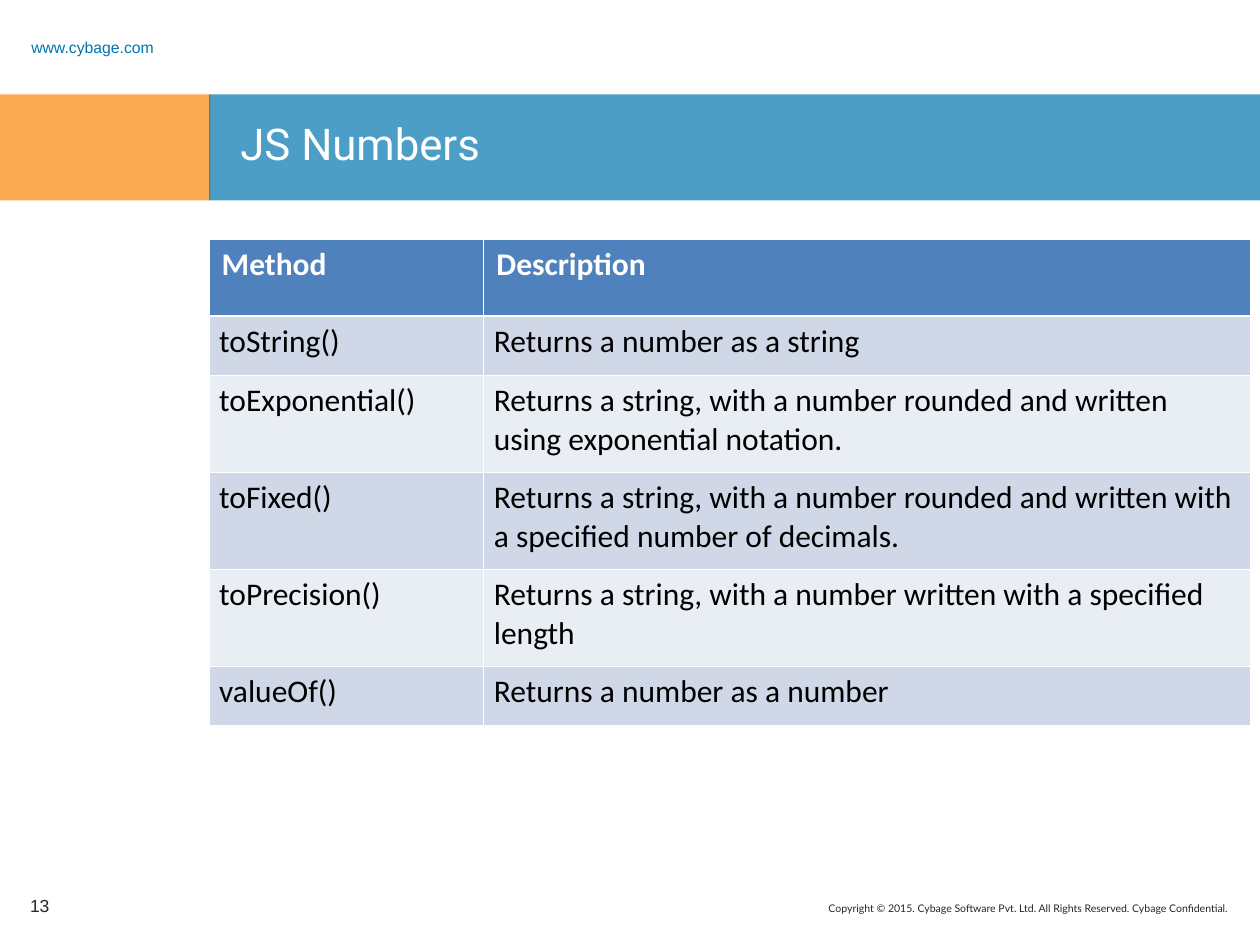
from lxml import etree
from pptx import Presentation
from pptx.dml.color import RGBColor
from pptx.enum import shapes, text
from pptx.oxml.ns import qn
from pptx.util import Inches, Pt

ORANGE = RGBColor(0xF8, 0x86, 0x08)
BLUE = RGBColor(0x00, 0x75, 0xB0)
HEADER_BLUE = RGBColor(0x4F, 0x81, 0xBD)
BAND_DARK = RGBColor(0xD0, 0xD8, 0xE8)
BAND_LIGHT = RGBColor(0xE9, 0xED, 0xF4)
WHITE = RGBColor(0xFF, 0xFF, 0xFF)
BLACK = RGBColor(0x00, 0x00, 0x00)
DARK_GREY = RGBColor(0x26, 0x26, 0x26)

LEFT, RIGHT = text.PP_ALIGN.LEFT, text.PP_ALIGN.RIGHT
TOP, MIDDLE = text.MSO_ANCHOR.TOP, text.MSO_ANCHOR.MIDDLE

# Content: left, top, width, height and fill of the title bands
BANDS = [
    (0, 0.75, 1.67, 0.84, ORANGE),
    (1.66, 0.75, 8.34, 0.84, BLUE),
]
# Text, box, font, size, colour, alignment, anchor, line spacing
LABELS = [
    ("Copyright © 2015. Cybage Software Pvt. Ltd. All Rights Reserved. Cybage Confidential.",
     (4.08, 7.11, 5.76, 0.26), "Lato", 6, DARK_GREY, RIGHT, TOP, 1),
    ("www.cybage.com", (0.15, 0.24, 1.5, 0.19), "Arial", 9, BLUE, LEFT, MIDDLE, 1.5),
    ("JS Numbers", (1.81, 0.88, 7.94, 0.62), "Roboto", 25, WHITE, LEFT, TOP, 1),
    ("13", (0.14, 6.99, 0.54, 0.4), "Arial", 10, DARK_GREY, LEFT, MIDDLE, 1),
]
METHODS = [
    ("Method", "Description"),
    ("toString()", "Returns a number as a string"),
    ("toExponential()", "Returns a string, with a number rounded and written using exponential notation."),
    ("toFixed()", "Returns a string, with a number rounded and written with a specified number of decimals."),
    ("toPrecision()", "Returns a string, with a number written with a specified length"),
    ("valueOf()", "Returns a number as a number"),
]
COLUMN_WIDTHS = [2.18, 6.08]
ROW_HEIGHTS = [0.61, 0.47, 0.77, 0.77, 0.77, 0.47]


def add_band(slide, left, top, width, height, color):
    shape = slide.shapes.add_shape(shapes.MSO_SHAPE.RECTANGLE, *map(Inches, (left, top, width, height)))
    shape.shadow.inherit = False
    shape.fill.solid()
    shape.fill.fore_color.rgb = color
    shape.line.fill.background()
    color_element = shape._element.spPr.find(qn("a:solidFill"))[0]
    etree.SubElement(color_element, qn("a:alpha"), val="70000")


def style_paragraph(paragraph, font_name, size, color, bold=False):
    font = paragraph.font
    font.name, font.size, font.bold = font_name, Pt(size), bold
    font.color.rgb = color


def add_label(slide, words, box, font_name, size, color, alignment, anchor, spacing):
    frame = slide.shapes.add_textbox(*map(Inches, box)).text_frame
    frame.word_wrap = True
    frame.vertical_anchor = anchor
    paragraph = frame.paragraphs[0]
    paragraph.text = words
    paragraph.alignment = alignment
    paragraph.line_spacing = spacing
    style_paragraph(paragraph, font_name, size, color)


def add_border(cell, side, width):
    line = etree.SubElement(cell._tc.get_or_add_tcPr(), qn(f"a:ln{side}"), w=str(Pt(width)))
    fill = etree.SubElement(line, qn("a:solidFill"))
    etree.SubElement(fill, qn("a:srgbClr"), val=str(WHITE))


def fill_cell(cell, words, row):
    header = row == 0
    cell.text = words
    cell.margin_left = cell.margin_right = Inches(0.1 if header else 0.08)
    cell.margin_top = cell.margin_bottom = Inches(0.05)
    # The line under the header is thicker than the others
    add_border(cell, "L", 0.45)
    add_border(cell, "R", 0.45)
    add_border(cell, "T", 1.47 if row == 1 else 0.45)
    add_border(cell, "B", 1.47 if header else 0.45)
    cell.fill.solid()
    cell.fill.fore_color.rgb = HEADER_BLUE if header else BAND_DARK if row % 2 else BAND_LIGHT
    style_paragraph(cell.text_frame.paragraphs[0], "Calibri", 18, WHITE if header else BLACK, header)


def add_method_table(slide):
    table = slide.shapes.add_table(
        len(METHODS), len(COLUMN_WIDTHS), Inches(1.66), Inches(1.9),
        Inches(sum(COLUMN_WIDTHS)), Inches(sum(ROW_HEIGHTS))).table
    for column, width in zip(table.columns, COLUMN_WIDTHS):
        column.width = Inches(width)
    for row, height in zip(table.rows, ROW_HEIGHTS):
        row.height = Inches(height)
    for row, entries in enumerate(METHODS):
        for column, words in enumerate(entries):
            fill_cell(table.cell(row, column), words, row)


def main():
    presentation = Presentation()
    presentation.slide_width, presentation.slide_height = Inches(10), Inches(7.5)
    slide = presentation.slides.add_slide(presentation.slide_layouts[6])
    for band in BANDS:
        add_band(slide, *band)
    for label in LABELS:
        add_label(slide, *label)
    add_method_table(slide)
    presentation.save("out.pptx")


if __name__ == "__main__":
    main()
